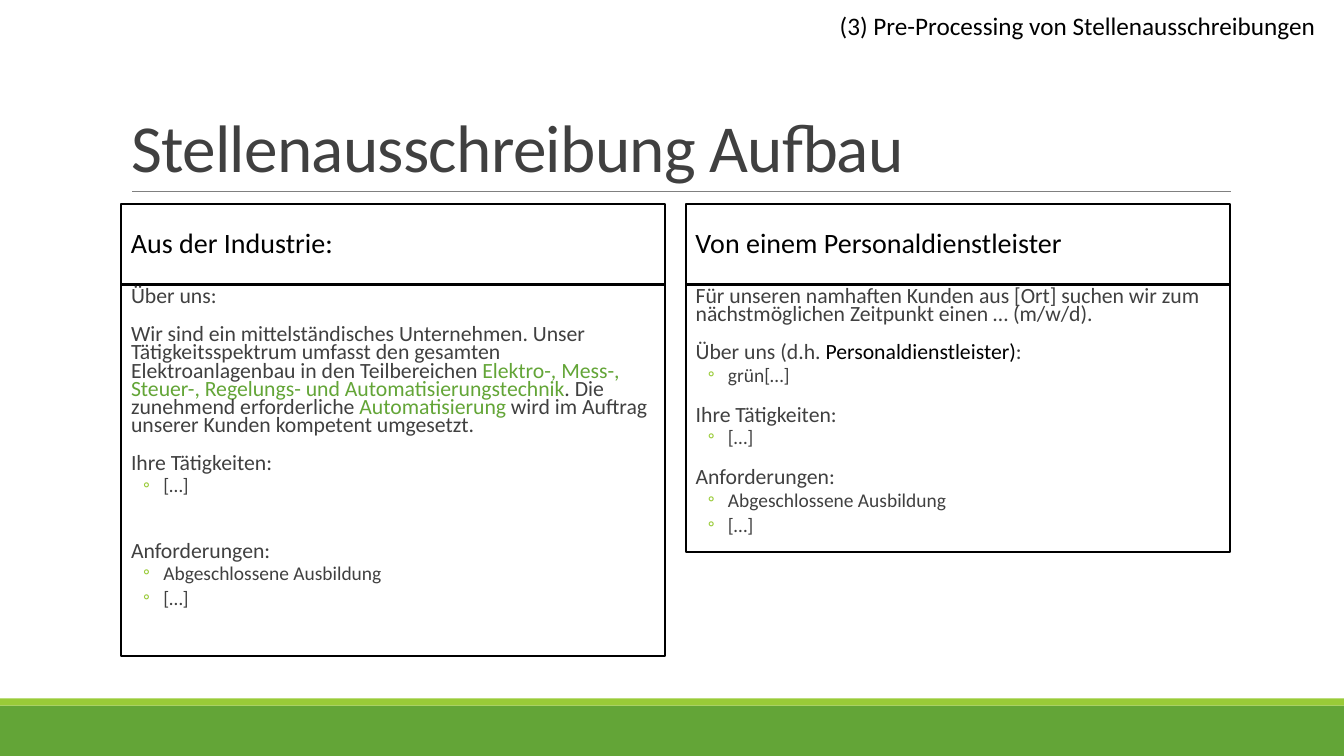
from lxml.etree import SubElement
from pptx import Presentation
from pptx.dml.color import RGBColor
from pptx.enum.shapes import MSO_CONNECTOR, MSO_SHAPE
from pptx.enum.text import MSO_ANCHOR, MSO_AUTO_SIZE, PP_ALIGN
from pptx.oxml.ns import qn
from pptx.util import Inches, Pt

BLACK = RGBColor(0x00, 0x00, 0x00)
DARK = RGBColor(0x40, 0x40, 0x40)
GRAY = RGBColor(0x80, 0x80, 0x80)
GREEN = RGBColor(0x63, 0xA5, 0x37)
LIME = RGBColor(0x99, 0xCB, 0x38)
FONT = "Calibri"

TITLE = "Stellenausschreibung Aufbau"
CHAPTER = "(3) Pre-Processing von Stellenausschreibungen"

# Each entry: kind, space before in points, spans of text and colour.
COLUMNS = [
    ("Aus der Industrie:", 3.69, [
        ("text", 0, [("Über uns:", DARK)]),
        ("text", 12, [
            ("Wir sind ein mittelständisches Unternehmen. Unser Tätigkeitsspektrum umfasst "
             "den gesamten Elektroanlagenbau in den Teilbereichen ", DARK),
            ("Elektro-, Mess-, Steuer-, Regelungs- und Automatisierungstechnik", GREEN),
            (". Die zunehmend erforderliche ", DARK),
            ("Automatisierung", GREEN),
            (" wird im Auftrag unserer Kunden kompetent umgesetzt.", DARK),
        ]),
        ("text", 12, [("Ihre Tätigkeiten:", DARK)]),
        ("bullet", 2, [("[…]", DARK)]),
        ("text", 30, [("Anforderungen:", DARK)]),
        ("bullet", 2, [("Abgeschlossene Ausbildung", DARK)]),
        ("bullet", 2, [("[…]", DARK)]),
    ]),
    ("Von einem Personaldienstleister", 2.66, [
        ("text", 0, [("Für unseren namhaften Kunden aus [Ort] suchen wir zum "
                      "nächstmöglichen Zeitpunkt einen … (m/w/d).", DARK)]),
        ("text", 12, [("Über uns (d.h. ", DARK), ("Personaldienstleister)", BLACK), (":", DARK)]),
        ("bullet", 2, [("grün[…]", DARK)]),
        ("text", 12, [("Ihre Tätigkeiten:", DARK)]),
        ("bullet", 2, [("[…]", DARK)]),
        ("text", 12, [("Anforderungen:", DARK)]),
        ("bullet", 2, [("Abgeschlossene Ausbildung", DARK)]),
        ("bullet", 2, [("[…]", DARK)]),
    ]),
]

PARA_STYLES = {
    "text": {"size": 15.5, "after": 2, "margin": 0.1, "indent": 0},
    "bullet": {"size": 13.9, "after": 4, "margin": 0.42, "indent": -0.2},
}

SLIDE_WIDTH, SLIDE_HEIGHT = 13.33, 7.5
BANDS = [(7, 0.5, GREEN), (6.93, 0.07, LIME)]
COLUMN_LEFT, COLUMN_WIDTH, COLUMN_STEP = 1.2, 5.4, 5.6
HEADER_TOP, HEADER_HEIGHT, BODY_TOP = 2.02, 0.81, 2.82


def style_font(font, size, color):
    font.name = FONT
    font.size = Pt(size)
    font.color.rgb = color


def add_band(page, top, height, color):
    band = page.shapes.add_shape(
        MSO_SHAPE.RECTANGLE, 0, Inches(top), Inches(SLIDE_WIDTH), Inches(height))
    band.shadow.inherit = False
    band.fill.solid()
    band.fill.fore_color.rgb = color
    band.line.fill.background()


def add_frame(page, left, top, height, anchor):
    box = page.shapes.add_shape(
        MSO_SHAPE.RECTANGLE, Inches(left), Inches(top), Inches(COLUMN_WIDTH), Inches(height))
    box.shadow.inherit = False
    box.fill.background()
    box.line.color.rgb = BLACK
    box.line.width = Pt(1.5)
    frame = box.text_frame
    frame.word_wrap = True
    frame.vertical_anchor = anchor
    return frame


def add_header(page, left, text):
    frame = add_frame(page, left, HEADER_TOP, HEADER_HEIGHT, MSO_ANCHOR.MIDDLE)
    para = frame.paragraphs[0]
    para.text = text
    para.alignment = PP_ALIGN.LEFT
    para.line_spacing = 0.9
    para.space_after = Pt(2)
    style_font(para.font, 20, BLACK)


def fill_para(para, kind, before, spans):
    style = PARA_STYLES[kind]
    props = para._p.get_or_add_pPr()
    props.set("marL", str(Inches(style["margin"])))
    props.set("indent", str(Inches(style["indent"])))
    if kind == "bullet":
        tint = SubElement(props, qn("a:buClr"))
        SubElement(tint, qn("a:srgbClr")).set("val", str(LIME))
        SubElement(props, qn("a:buFont")).set("typeface", FONT)
        SubElement(props, qn("a:buChar")).set("char", "◦")
    para.alignment = PP_ALIGN.LEFT
    para.line_spacing = 0.7
    para.space_before = Pt(before)
    para.space_after = Pt(style["after"])
    style_font(para.font, style["size"], DARK)
    for text, color in spans:
        span = para.add_run()
        span.text = text
        span.font.color.rgb = color


def add_body(page, left, height, entries):
    frame = add_frame(page, left, BODY_TOP, height, MSO_ANCHOR.TOP)
    frame.margin_left = frame.margin_right = 0
    for index, entry in enumerate(entries):
        para = frame.add_paragraph() if index else frame.paragraphs[0]
        fill_para(para, *entry)


def add_title(page):
    title = page.shapes.title
    title.left, title.top = Inches(1.2), Inches(0.31)
    title.width, title.height = Inches(11), Inches(1.59)
    frame = title.text_frame
    frame.auto_size = MSO_AUTO_SIZE.NONE
    frame.vertical_anchor = MSO_ANCHOR.BOTTOM
    para = frame.paragraphs[0]
    para.text = TITLE
    para.alignment = PP_ALIGN.LEFT
    para.line_spacing = 0.85
    style_font(para.font, 48, DARK)
    para.runs[0]._r.get_or_add_rPr().set("spc", "-50")


def add_rule(page):
    rule = page.shapes.add_connector(
        MSO_CONNECTOR.STRAIGHT, Inches(1.31), Inches(1.9), Inches(12.21), Inches(1.9))
    rule.line.color.rgb = GRAY
    rule.line.width = Pt(0.5)
    SubElement(rule._element.spPr, qn("a:effectLst"))


def add_chapter(page):
    box = page.shapes.add_textbox(Inches(8.23), Inches(0.05), Inches(5.02), Inches(0.4))
    box.text_frame.word_wrap = True
    para = box.text_frame.paragraphs[0]
    para.text = CHAPTER
    style_font(para.font, 18, BLACK)


def main():
    """Build the slide comparing two job advertisement structures."""
    deck = Presentation()
    deck.slide_width, deck.slide_height = Inches(SLIDE_WIDTH), Inches(SLIDE_HEIGHT)
    page = deck.slides.add_slide(deck.slide_layouts[5])
    for band in BANDS:
        add_band(page, *band)
    add_rule(page)
    add_title(page)
    for index, (header, height, entries) in enumerate(COLUMNS):
        left = COLUMN_LEFT + index * COLUMN_STEP
        add_header(page, left, header)
        add_body(page, left, height, entries)
    add_chapter(page)
    deck.save("out.pptx")


if __name__ == "__main__":
    main()
